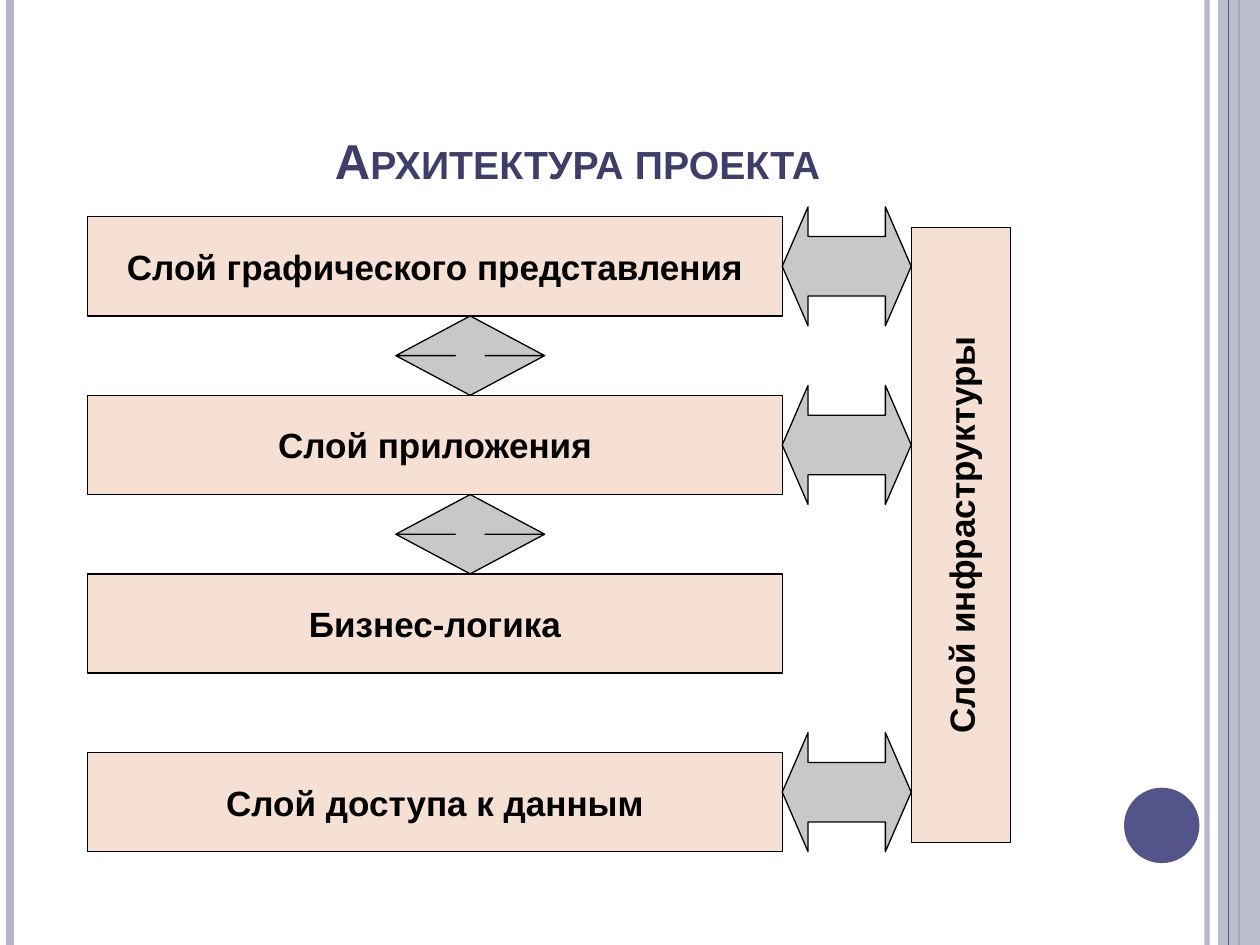
from lxml import etree
from pptx import Presentation
from pptx.dml.color import RGBColor
from pptx.enum.shapes import MSO_CONNECTOR, MSO_SHAPE
from pptx.enum.text import MSO_ANCHOR, PP_ALIGN
from pptx.oxml.ns import qn
from pptx.util import Cm, Pt

RECTANGLE = MSO_SHAPE.RECTANGLE
ELLIPSE = MSO_SHAPE.OVAL
SIDE_ARROW = MSO_SHAPE.LEFT_RIGHT_ARROW
VERTICAL_ARROW = MSO_SHAPE.UP_DOWN_ARROW
STRAIGHT = MSO_CONNECTOR.STRAIGHT
CENTER = PP_ALIGN.CENTER
MIDDLE = MSO_ANCHOR.MIDDLE
BOTTOM = MSO_ANCHOR.BOTTOM

COLORS = {
    "title": "3E3F68",
    "layer": "F5E0D3",
    "arrow": "C8C8C8",
    "ink": "000000",
    "stripe": "B3B4C4",
    "accent": "53548A",
}
FONT = "Arial"
SLIDE_WIDTH, SLIDE_HEIGHT = 25.4, 19.05

LAYERS = [
    "Слой графического представления",
    "Слой приложения",
    "Бизнес-логика",
    "Слой доступа к данным",
]
LAYER_LEFT, LAYER_TOP = 1.77, 4.37
LAYER_WIDTH, LAYER_HEIGHT, LAYER_GAP = 14, 2, 1.6
SIDE_WIDTH, SIDE_HEIGHT = 2.6, 2.4
SIDE_OFFSETS = {0: -0.2, 1: -0.2, 3: -0.4}
INFRASTRUCTURE_LENGTH, INFRASTRUCTURE_MIDDLE = 12.4, 10.78


def color(name):
    """Return the palette colour with this name."""
    return RGBColor.from_string(COLORS[name])


def set_opacity(properties, percent):
    """Make the solid colour inside these shape properties translucent."""
    rgb = next(properties.iter(qn("a:srgbClr")))
    etree.SubElement(rgb, qn("a:alpha")).set("val", str(percent * 1000))


def format_text(text_frame, text, size, color_name, anchor):
    """Write one centred bold paragraph."""
    text_frame.text = text
    text_frame.vertical_anchor = anchor
    paragraph = text_frame.paragraphs[0]
    paragraph.alignment = CENTER
    font = paragraph.font
    font.name, font.size, font.bold = FONT, Pt(size), True
    font.color.rgb = color(color_name)
    return paragraph


def add_shape(slide, kind, left, top, width, height, fill, outlined=True):
    """Add a flat filled shape, with a thin outline if wanted."""
    shape = slide.shapes.add_shape(kind, Cm(left), Cm(top), Cm(width), Cm(height))
    shape.shadow.inherit = False
    shape.fill.solid()
    shape.fill.fore_color.rgb = color(fill)
    if outlined:
        shape.line.color.rgb = color("ink")
        shape.line.width = Pt(0.75)
    else:
        shape.line.fill.background()
    return shape


def add_layer(slide, text, left, top, width, rotation=0):
    """Add a labelled box for one layer of the architecture."""
    shape = add_shape(slide, RECTANGLE, left, top, width, LAYER_HEIGHT, "layer")
    shape.rotation = rotation
    format_text(shape.text_frame, text, 20, "ink", MIDDLE)
    shape.text_frame.word_wrap = False


def add_arrow(slide, kind, left, top, width, height, head):
    """Add a double-headed block arrow."""
    shape = add_shape(slide, kind, left, top, width, height, "arrow")
    shape.adjustments[0] = 0.5
    shape.adjustments[1] = head


def add_stripe(slide, x, color_name, width, opacity=100):
    """Add a vertical line over the whole slide height."""
    line = slide.shapes.add_connector(STRAIGHT, Cm(x), Cm(0), Cm(x), Cm(SLIDE_HEIGHT))
    line.line.color.rgb = color(color_name)
    line.line.width = Pt(width)
    properties = line._element.spPr
    etree.SubElement(properties, qn("a:effectLst"))
    if opacity < 100:
        set_opacity(properties, opacity)


def add_decoration(slide):
    """Add the edge stripes, the right band and the dot."""
    add_stripe(slide, 24.33, "stripe", 3, 93)
    add_stripe(slide, 0.21, "stripe", 4.5)
    add_stripe(slide, 24.98, "accent", 1.5)
    band = add_shape(slide, RECTANGLE, 24.55, 0, 0.85, SLIDE_HEIGHT, "stripe", False)
    set_opacity(band._element.spPr, 87)
    add_stripe(slide, 24.77, "accent", 0.75)
    add_shape(slide, ELLIPSE, 22.66, 15.88, 1.52, 1.52, "accent", False)


def add_title(slide, text):
    """Place and format the title in small capitals."""
    title = slide.shapes.title
    title.left, title.top = Cm(1.27), Cm(0.76)
    title.width, title.height = Cm(20.75), Cm(3.18)
    paragraph = format_text(title.text_frame, text, 28, "title", BOTTOM)
    paragraph.runs[0]._r.get_or_add_rPr().set("cap", "small")


def add_architecture(slide):
    """Add the layers and the arrows between them."""
    right = LAYER_LEFT + LAYER_WIDTH
    for index, text in enumerate(LAYERS):
        top = LAYER_TOP + index * (LAYER_HEIGHT + LAYER_GAP)
        add_layer(slide, text, LAYER_LEFT, top, LAYER_WIDTH)
        if index in SIDE_OFFSETS:
            add_arrow(slide, SIDE_ARROW, right, top + SIDE_OFFSETS[index],
                      SIDE_WIDTH, SIDE_HEIGHT, 0.217)
        if index < 2:
            add_arrow(slide, VERTICAL_ARROW, 7.98, top + LAYER_HEIGHT,
                      3, LAYER_GAP, 0.2)
    center = right + SIDE_WIDTH + LAYER_HEIGHT / 2
    add_layer(slide, "Слой инфраструктуры", center - INFRASTRUCTURE_LENGTH / 2,
              INFRASTRUCTURE_MIDDLE - LAYER_HEIGHT / 2, INFRASTRUCTURE_LENGTH, 270)


def main():
    """Build the slide and save it."""
    presentation = Presentation()
    presentation.slide_width = Cm(SLIDE_WIDTH)
    presentation.slide_height = Cm(SLIDE_HEIGHT)
    slide = presentation.slides.add_slide(presentation.slide_layouts[5])
    add_decoration(slide)
    add_title(slide, "Архитектура проекта")
    add_architecture(slide)
    presentation.save("out.pptx")


main()
